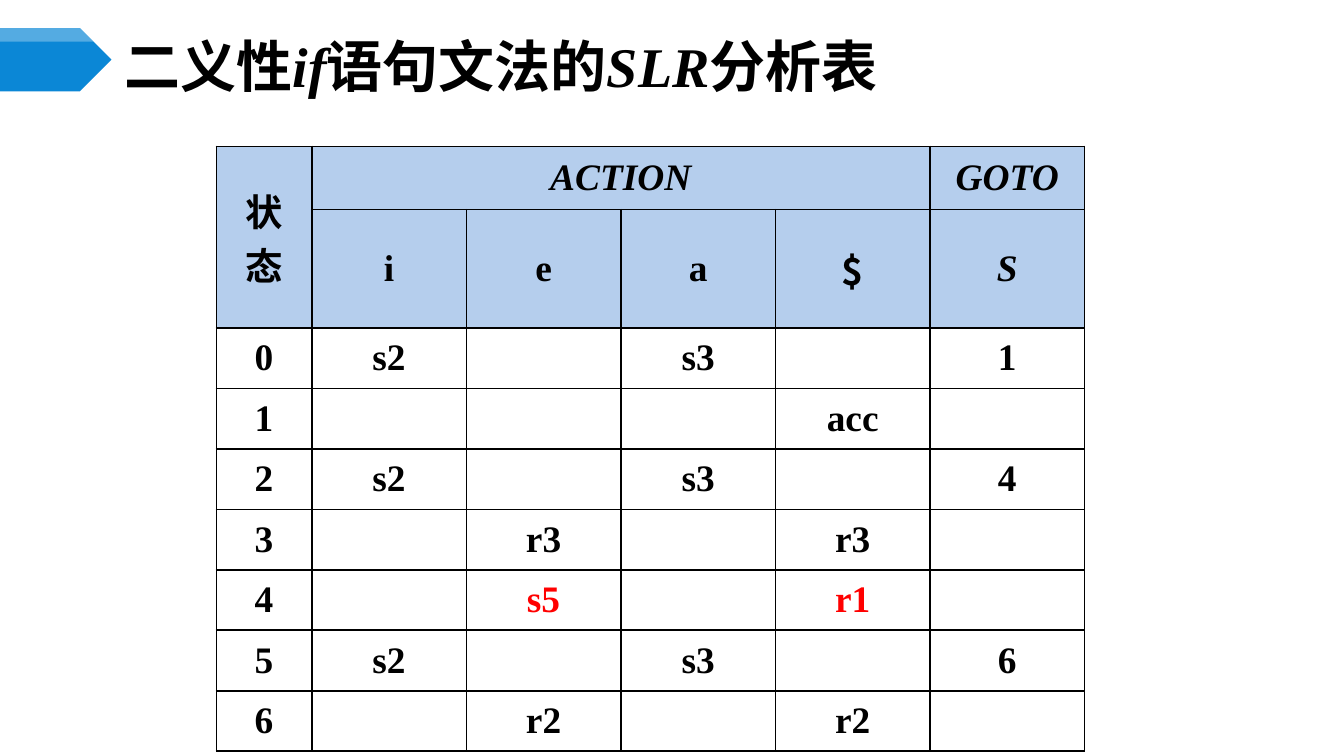
from lxml import etree
from pptx import Presentation
from pptx import util as u
from pptx.dml.color import RGBColor
from pptx.enum import shapes, text
from pptx.oxml.ns import qn

# Content
CJK, LATIN = "Noto Sans CJK SC", "Times New Roman"
COLORS = {"arrow": "0B87D6", "band": "FFFFFF", "header": "B5CEED",
          "ink": "000000", "conflict": "FF0000"}
TITLE = ["二义性", "if", "语句文法的", "SLR", "分析表"]
HEADER = [
    ["状态", "ACTION", "", "", "", "GOTO"],
    ["", "i", "e", "a", "$", "S"],
]
STATES = [
    ["0", "s2", "", "s3", "", "1"],
    ["1", "", "", "", "acc", ""],
    ["2", "s2", "", "s3", "", "4"],
    ["3", "", "r3", "", "r3", ""],
    ["4", "", "s5", "", "r1", ""],
    ["5", "s2", "", "s3", "", "6"],
    ["6", "", "r2", "", "r2", ""],
]
ITALIC = {"if", "SLR", "ACTION", "GOTO", "S"}
CONFLICTS = {"s5", "r1"}

# Layout, in inches
WIDTH = 10
HEIGHT = WIDTH * 9 / 16
ARROW_TOP, ARROW_WIDTH, ARROW_HEIGHT, BAND_HEIGHT = 0.21, 0.83, 0.47, 0.1
COLUMNS = [0.71] + [1.15] * 5
ROWS = [0.47, 0.88] + [0.45] * len(STATES)


def color(name):
    return RGBColor.from_string(COLORS[name])


def add_span(para, words, size):
    span = para.add_run()
    span.text = words
    font = span.font
    font.size, font.bold, font.italic = u.Pt(size), True, words in ITALIC
    font.color.rgb = color("conflict" if words in CONFLICTS else "ink")
    font.name = LATIN if words.isascii() and words != "$" else CJK
    east_asian = etree.SubElement(span._r.get_or_add_rPr(), qn("a:ea"))
    east_asian.set("typeface", CJK)


def paint(shape, name):
    shape.shadow.inherit = False
    shape.fill.solid()
    shape.fill.fore_color.rgb = color(name)
    shape.line.fill.background()


def add_borders(cell):
    properties = cell._tc.get_or_add_tcPr()
    for index, side in enumerate(("lnL", "lnR", "lnT", "lnB")):
        line = etree.Element(qn(f"a:{side}"), w=str(u.Pt(1)))
        fill = etree.SubElement(line, qn("a:solidFill"))
        etree.SubElement(fill, qn("a:srgbClr"), val=COLORS["ink"])
        properties.insert(index, line)


deck = Presentation()
deck.slide_width, deck.slide_height = u.Inches(WIDTH), u.Inches(HEIGHT)
page = deck.slides.add_slide(deck.slide_layouts[6])

# Arrow tab with a lighter band along its top edge
arrow = page.shapes.add_shape(
    shapes.MSO_SHAPE.PENTAGON, 0, u.Inches(ARROW_TOP),
    u.Inches(ARROW_WIDTH), u.Inches(ARROW_HEIGHT))
paint(arrow, "arrow")
shoulder = ARROW_WIDTH - ARROW_HEIGHT / 2
band_bottom = ARROW_TOP + BAND_HEIGHT
outline = page.shapes.build_freeform(0, u.Inches(ARROW_TOP))
outline.add_line_segments([
    (u.Inches(shoulder), u.Inches(ARROW_TOP)),
    (u.Inches(shoulder + BAND_HEIGHT), u.Inches(band_bottom)),
    (0, u.Inches(band_bottom))])
band = outline.convert_to_shape()
paint(band, "band")
band_color = band._element.spPr.find(qn("a:solidFill")).find(qn("a:srgbClr"))
etree.SubElement(band_color, qn("a:alpha"), val="30000")

# Title
box = page.shapes.add_textbox(u.Inches(ARROW_WIDTH), u.Inches(0.29),
                              u.Inches(8.67), u.Inches(0.39))
frame = box.text_frame
frame.word_wrap = True
frame.vertical_anchor = text.MSO_ANCHOR.MIDDLE
for words in TITLE:
    add_span(frame.paragraphs[0], words, 30)

# Parsing table
table = page.shapes.add_table(
    len(ROWS), len(COLUMNS), u.Inches(1.61), u.Inches(1.09),
    u.Inches(sum(COLUMNS)), u.Inches(sum(ROWS))).table
for column, width in zip(table.columns, COLUMNS):
    column.width = u.Inches(width)
for row, height in zip(table.rows, ROWS):
    row.height = u.Inches(height)
for r, entries in enumerate(HEADER + STATES):
    for c, words in enumerate(entries):
        cell = table.cell(r, c)
        cell.vertical_anchor = text.MSO_ANCHOR.MIDDLE
        cell.margin_left = cell.margin_right = u.Inches(0.1)
        cell.margin_top = cell.margin_bottom = u.Inches(0.04)
        if r < len(HEADER):
            cell.fill.solid()
            cell.fill.fore_color.rgb = color("header")
        else:
            cell.fill.background()
        add_borders(cell)
        para = cell.text_frame.paragraphs[0]
        para.alignment = text.PP_ALIGN.CENTER
        if words:
            add_span(para, words, 20)
table.cell(0, 0).merge(table.cell(1, 0))
table.cell(0, 1).merge(table.cell(0, 4))

deck.save("out.pptx")
